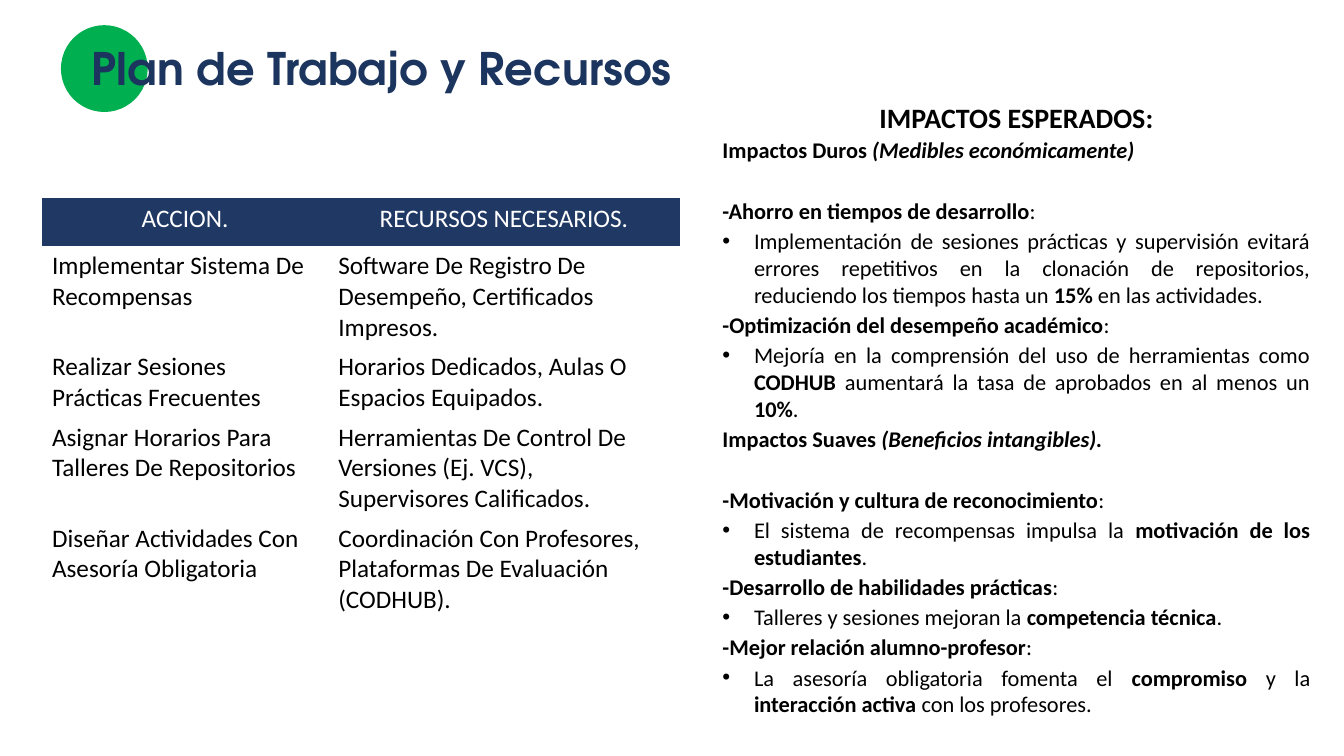
from lxml import etree
from pptx import Presentation
from pptx.dml.color import RGBColor
from pptx.enum.shapes import MSO_SHAPE
from pptx.enum.text import MSO_ANCHOR, PP_ALIGN
from pptx.oxml.ns import qn
from pptx.util import Pt

OVAL = MSO_SHAPE.OVAL
LEFT, CENTER, JUSTIFY = PP_ALIGN.LEFT, PP_ALIGN.CENTER, PP_ALIGN.JUSTIFY
MIDDLE = MSO_ANCHOR.MIDDLE

COLORS = {"green": "00B050", "title": "1C355E", "header": "203864",
          "white": "FFFFFF", "black": "000000"}
NO_STYLE = "{2D5ABB26-0587-4C30-8999-92F81FD0307C}"

ACTIONS = [
    ("ACCION.", "RECURSOS NECESARIOS."),
    ("Implementar Sistema De Recompensas",
     "Software De Registro De Desempeño, Certificados Impresos."),
    ("Realizar Sesiones Prácticas Frecuentes",
     "Horarios Dedicados, Aulas O Espacios Equipados."),
    ("Asignar Horarios Para Talleres De Repositorios",
     "Herramientas De Control De Versiones (Ej. VCS), Supervisores Calificados."),
    ("Diseñar Actividades Con Asesoría Obligatoria",
     "Coordinación Con Profesores, Plataformas De Evaluación (CODHUB)."),
]
COL_WIDTHS = [204.5, 251]
ROW_HEIGHTS = [34, 72, 50, 72, 72]

IMPACTS = [
    ("Impactos Duros ", "(Medibles económicamente)", [
        ("-Ahorro en tiempos de desarrollo",
         "Implementación de sesiones prácticas y supervisión evitará errores "
         "repetitivos en la clonación de repositorios, reduciendo los tiempos "
         "hasta un *15%* en las actividades."),
        ("-Optimización del desempeño académico",
         "Mejoría en la comprensión del uso de herramientas como *CODHUB* "
         "aumentará la tasa de aprobados en al menos un *10%*."),
    ]),
    ("Impactos Suaves ", "(Beneficios intangibles).", [
        ("-Motivación y cultura de reconocimiento",
         "El sistema de recompensas impulsa la *motivación de los estudiantes*."),
        ("-Desarrollo de habilidades prácticas",
         "Talleres y sesiones mejoran la *competencia técnica*."),
        ("-Mejor relación alumno-profesor",
         "La asesoría obligatoria fomenta el *compromiso* y la "
         "*interacción activa* con los profesores."),
    ]),
]


def rgb(name):
    return RGBColor.from_string(COLORS[name])


def add_text(p, text, size=16, font="Calibri", color="black",
             bold=False, italic=False, align=LEFT):
    p.alignment = align
    for i, part in enumerate(text.split("*")):
        if part:
            r = p.add_run()
            r.text = part
            r.font.size = Pt(size)
            r.font.name = font
            r.font.color.rgb = rgb(color)
            r.font.bold = bold or i % 2 == 1
            r.font.italic = italic


def add_box(s, left, top, width, height):
    tf = s.shapes.add_textbox(Pt(left), Pt(top), Pt(width), Pt(height)).text_frame
    tf.word_wrap = True
    return tf


def add_impact_paragraph(tf, before=1.2):
    p = tf.add_paragraph()
    p.space_before, p.space_after = Pt(before), Pt(1.2)
    return p


def set_bullet(p):
    pPr = p._p.get_or_add_pPr()
    pPr.set("marL", str(Pt(22.5)))
    pPr.set("indent", str(Pt(-22.5)))
    etree.SubElement(pPr, qn("a:buFont"), typeface="Arial")
    etree.SubElement(pPr, qn("a:buChar"), char="•")


def add_circle(s):
    sp = s.shapes.add_shape(OVAL, Pt(43.5), Pt(18), Pt(62), Pt(62))
    sp.shadow.inherit = False
    sp.fill.solid()
    sp.fill.fore_color.rgb = rgb("green")
    sp.line.fill.background()


def add_title(s):
    tf = add_box(s, 65.5, 28, 661, 40)
    tf.margin_left = tf.margin_right = tf.margin_bottom = 0
    tf.margin_top = Pt(1)
    tf.vertical_anchor = MIDDLE
    add_text(tf.paragraphs[0], "Plan de Trabajo y Recursos", size=32,
             font="TeX Gyre Adventor", color="title", bold=True)


def add_actions(s):
    frame = s.shapes.add_table(len(ACTIONS), len(COL_WIDTHS), Pt(30), Pt(141.5),
                               Pt(sum(COL_WIDTHS)), Pt(sum(ROW_HEIGHTS)))
    table = frame.table
    table.horz_banding = False
    table._tbl.tblPr.find(qn("a:tableStyleId")).text = NO_STYLE
    for column, width in zip(table.columns, COL_WIDTHS):
        column.width = Pt(width)
    for row, height, texts in zip(table.rows, ROW_HEIGHTS, ACTIONS):
        row.height = Pt(height)
        header = texts == ACTIONS[0]
        for cell, text in zip(row.cells, texts):
            if header:
                cell.fill.solid()
                cell.fill.fore_color.rgb = rgb("header")
            else:
                cell.fill.background()
            add_text(cell.text_frame.paragraphs[0], text, size=18,
                     color="white" if header else "black",
                     align=CENTER if header else LEFT)


def add_impacts(s):
    tf = add_box(s, 509, 68.5, 434, 464.5)
    add_text(tf.paragraphs[0], "IMPACTOS ESPERADOS:", size=20, bold=True, align=CENTER)
    for kind, detail, impacts in IMPACTS:
        p = add_impact_paragraph(tf)
        add_text(p, kind, bold=True, align=JUSTIFY)
        add_text(p, detail, bold=True, italic=True, align=JUSTIFY)
        for i, (name, effect) in enumerate(impacts):
            p = add_impact_paragraph(tf, before=1.2 if i else 23)
            add_text(p, f"*{name}*:", align=JUSTIFY)
            p = add_impact_paragraph(tf)
            add_text(p, effect, align=JUSTIFY)
            set_bullet(p)


def main():
    prs = Presentation()
    prs.slide_width, prs.slide_height = Pt(960), Pt(540)
    s = prs.slides.add_slide(prs.slide_layouts[6])
    add_circle(s)
    add_title(s)
    add_impacts(s)
    add_actions(s)
    prs.save("out.pptx")


if __name__ == "__main__":
    main()
